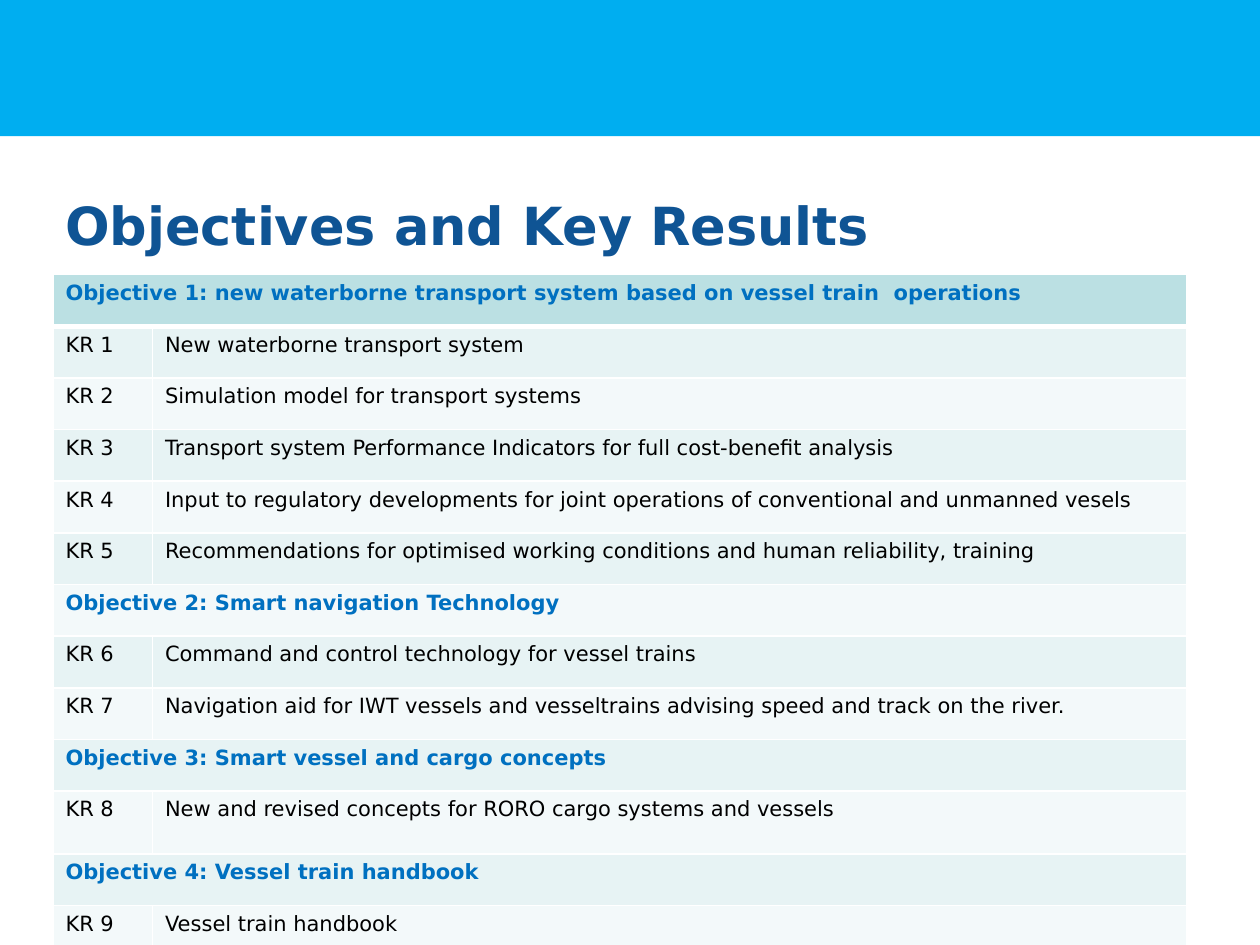
from lxml.etree import SubElement
from pptx import Presentation
from pptx.dml.color import RGBColor
from pptx.enum.shapes import MSO_SHAPE
from pptx.enum.text import MSO_ANCHOR
from pptx.oxml.ns import qn
from pptx.util import Pt

PX = 9144  # EMU per px, at 100 px to the inch
FONT = "DejaVu Sans"
SKY = RGBColor(0x00, 0xAE, 0xF0)
NAVY = RGBColor(0x0F, 0x54, 0x94)
BLUE = RGBColor(0x00, 0x70, 0xC0)
BLACK = RGBColor(0x00, 0x00, 0x00)
WHITE = RGBColor(0xFF, 0xFF, 0xFF)
HEAD = RGBColor(0xBB, 0xE0, 0xE3)
TINT = RGBColor(0xE7, 0xF3, 0xF4)
PALE = RGBColor(0xF3, 0xF9, 0xFA)

GOALS = [
    ("new waterborne transport system based on vessel train  operations", [
        "New waterborne transport system",
        "Simulation model for transport systems",
        "Transport system Performance Indicators for full cost-benefit analysis",
        "Input to regulatory developments for joint operations of conventional and unmanned vesels",
        "Recommendations for optimised working conditions and human reliability, training",
    ]),
    ("Smart navigation Technology", [
        "Command and control technology for vessel trains",
        "Navigation aid for IWT vessels and vesseltrains advising speed and track on the river.",
    ]),
    ("Smart vessel and cargo concepts", [
        "New and revised concepts for RORO cargo systems and vessels",
    ]),
    ("Vessel train handbook", ["Vessel train handbook"]),
]


def write(frame, text, size=12, color=BLACK, bold=False):
    run = frame.paragraphs[0].add_run()
    run.text = text
    font = run.font
    font.name, font.size, font.bold = FONT, Pt(size), bold
    font.color.rgb = color


def list_rows(goals):
    """Number the objectives and, right through, their key results."""
    rows = []
    count = 0
    for num, (goal, results) in enumerate(goals, 1):
        rows.append((f"Objective {num}: {goal}",))
        for result in results:
            count += 1
            rows.append((f"KR {count}", result))
    return rows


class Deck:
    def __init__(self, wide, high):
        self.show = Presentation()
        self.show.slide_width = wide * PX
        self.show.slide_height = high * PX
        self.slide = self.show.slides.add_slide(self.show.slide_layouts[6])

    def band(self, *box):
        shape = self.slide.shapes.add_shape(
            MSO_SHAPE.RECTANGLE, *(n * PX for n in box))
        shape.shadow.inherit = False
        shape.fill.solid()
        shape.fill.fore_color.rgb = SKY
        shape.line.fill.background()

    def title(self, text, *box):
        frame = self.slide.shapes.add_textbox(*(n * PX for n in box)).text_frame
        frame.word_wrap = True
        frame.vertical_anchor = MSO_ANCHOR.MIDDLE
        write(frame, text, size=30, color=NAVY, bold=True)

    def edge(self, cell, top=1, base=1):
        props = cell._tc.get_or_add_tcPr()
        for side, width in zip("LRTB", (1, 1, top, base)):
            line = SubElement(props, qn(f"a:ln{side}"), w=str(Pt(width)))
            fill = SubElement(line, qn("a:solidFill"))
            SubElement(fill, qn("a:srgbClr"), val=str(WHITE))

    def grid(self, rows, left, top, cols, highs):
        table = self.slide.shapes.add_table(
            len(rows), len(cols), left * PX, top * PX,
            sum(cols) * PX, sum(highs) * PX).table
        for col, width in zip(table.columns, cols):
            col.width = width * PX
        for i, (row, texts) in enumerate(zip(table.rows, rows)):
            row.height = highs[i] * PX
            cells = list(row.cells)
            # Borders go in before the fill
            for cell in cells:
                self.edge(cell, top=3 if i == 1 else 1, base=3 if i == 0 else 1)
                cell.fill.solid()
                cell.fill.fore_color.rgb = HEAD if i == 0 else (PALE, TINT)[i % 2]
            goal = len(texts) == 1
            if goal:
                cells[0].merge(cells[-1])
            for cell, text in zip(cells, texts):
                write(cell.text_frame, text, color=BLUE if goal else BLACK, bold=goal)


def main():
    deck = Deck(1000, 750)

    # Top band and title
    deck.band(0, 0, 1000, 108)
    deck.title("Objectives and Key Results", 42, 155, 900, 47)

    # Objectives with their key results; the KR 8 row is taller
    rows = list_rows(GOALS)
    highs = [50 if row[0] == "KR 8" else 41 for row in rows]
    deck.grid(rows, 42, 218, (79, 821), highs)

    deck.show.save("out.pptx")


if __name__ == "__main__":
    main()
